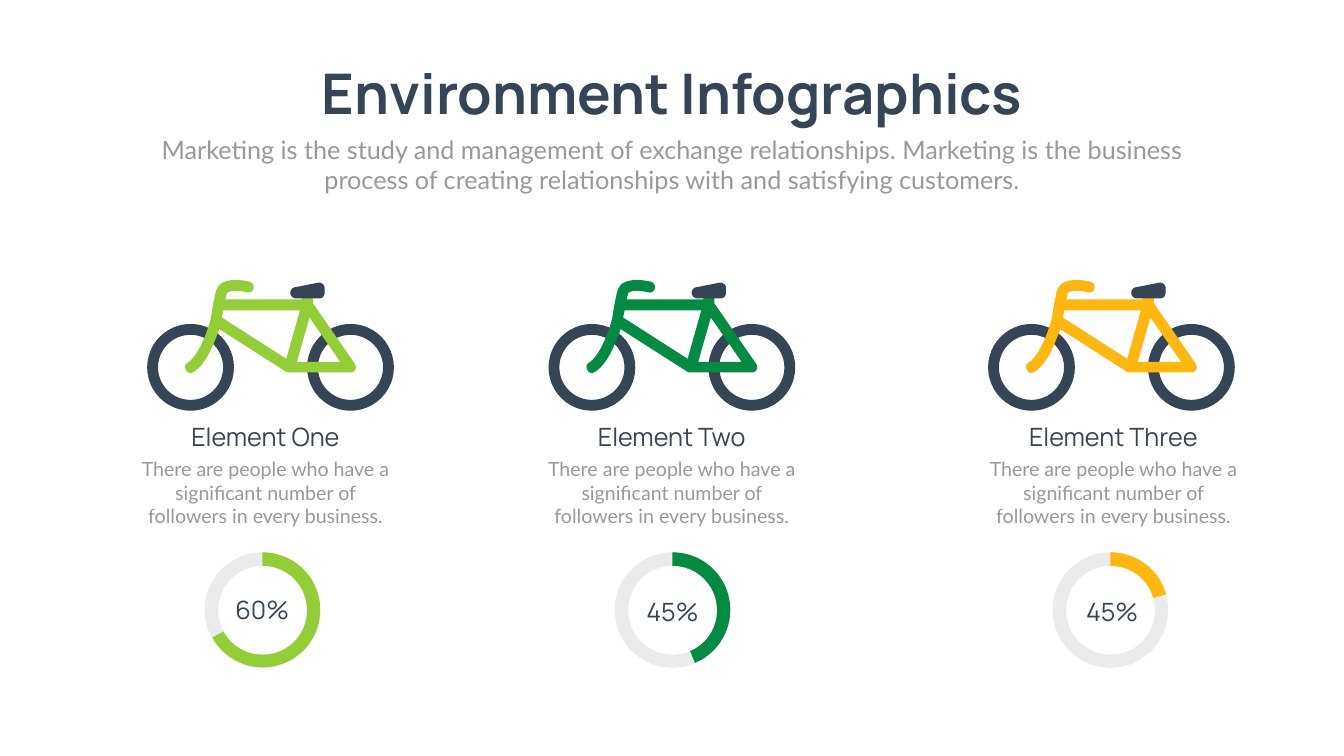
"""Build the Environment Infographics slide: three bicycles with captions and progress rings."""
import pptx
import pptx.dml.color
import pptx.enum.shapes
import pptx.enum.text
import pptx.util

Pt = pptx.util.Pt
RGBColor = pptx.dml.color.RGBColor
MSO_SHAPE = pptx.enum.shapes.MSO_SHAPE

NAVY = RGBColor(0x36, 0x45, 0x56)
GRAY = RGBColor(0x99, 0x99, 0x99)
PALE = RGBColor(0xEB, 0xEB, 0xEB)
WHITE = RGBColor(0xFF, 0xFF, 0xFF)
LIME = RGBColor(0x93, 0xCE, 0x39)
GREEN = RGBColor(0x05, 0x8A, 0x43)
AMBER = RGBColor(0xFE, 0xB6, 0x11)

UNIT = 0.72
FINE = 20
STEPS = 10
CAPTION = "There are people who have a significant number of followers in every business."

FRAME = [
    [(412, 166), (329, 46), (329, 25), (328, 19, 323, 14, 317, 14),
     (312, 15, 307, 19, 307, 25), (307, 38), (155, 38), (158, 26),
     (159, 24, 168, 17, 198, 24), (204, 26, 210, 22, 211, 16),
     (212, 10, 209, 5, 203, 3), (177, -3, 158, -1, 146, 7),
     (141, 11, 138, 17, 136, 23), (131, 47), (126, 77),
     (121, 97, 103, 150, 80, 164), (75, 167, 74, 173, 77, 178),
     (79, 182, 82, 184, 86, 184), (88, 184, 90, 183, 92, 182),
     (107, 173, 121, 153, 133, 123), (137, 113, 141, 104, 143, 97),
     (276, 182), (278, 183, 280, 183, 282, 183), (403, 183),
     (409, 183, 414, 179, 414, 173), (414, 170, 413, 168, 412, 166)],
    [(151, 60), (303, 60), (276, 156), (148, 74)],
    [(297, 162), (322, 74), (383, 162)],
]
SADDLE = [
    [(341, 36), (295, 36), (289, 36, 284, 31, 284, 25), (284, 20, 287, 15, 293, 14),
     (339, 5), (345, 4, 351, 8, 352, 14), (352, 25), (352, 31, 348, 36, 342, 36)],
]


def add_text(sp, text, size=36, font="Manrope", color=NAVY, bold=False, wrap=True):
    tf = sp.text_frame
    tf.word_wrap = wrap
    tf.auto_size = pptx.enum.text.MSO_AUTO_SIZE.SHAPE_TO_FIT_TEXT
    tf.vertical_anchor = pptx.enum.text.MSO_ANCHOR.TOP
    p = tf.paragraphs[0]
    p.alignment = pptx.enum.text.PP_ALIGN.CENTER
    p.line_spacing = 1.0
    p.space_before = Pt(0)
    r = p.add_run()
    r.text = text
    r.font.size = Pt(size)
    r.font.name = font
    r.font.bold = bold
    r.font.color.rgb = color


def add_outline(shapes, contours, left, top):
    builder = None
    for contour in contours:
        points = []
        for segment in contour:
            if len(segment) == 2:
                points.append(segment)
                continue
            x0, y0 = points[-1]
            x1, y1, x2, y2, x3, y3 = segment
            for i in range(1, STEPS + 1):
                t = i / STEPS
                a, b, c, d = (1 - t) ** 3, 3 * t * (1 - t) ** 2, 3 * t * t * (1 - t), t ** 3
                points.append((a * x0 + b * x1 + c * x2 + d * x3,
                               a * y0 + b * y1 + c * y2 + d * y3))
        points = [(round(x * FINE), round(y * FINE)) for x, y in points]
        if builder is None:
            builder = shapes.build_freeform(*points[0], scale=Pt(UNIT) / FINE)
        else:
            builder.move_to(*points[0])
        builder.add_line_segments(points[1:], close=True)
    return builder.convert_to_shape(Pt(left), Pt(top))


prs = pptx.Presentation()
prs.slide_width, prs.slide_height = Pt(1919.52), Pt(1080)
s = prs.slides.add_slide(prs.slide_layouts[0])

title, subtitle = s.placeholders
for sp, box in ((title, (410.4, 80.6, 1099.4, 104.4)), (subtitle, (210.2, 187.9, 1499, 94.3))):
    sp.left, sp.top, sp.width, sp.height = map(Pt, box)
add_text(title, "Environment Infographics", size=80, bold=True, wrap=False)
add_text(subtitle, "Marketing is the study and management of exchange relationships. "
         "Marketing is the business process of creating relationships with and "
         "satisfying customers.", font="Lato", color=GRAY)

columns = [
    ("Element One", "60%", LIME, 151.21, 210.2, 195.1, 292.3, 319, 846),
    ("Element Two", "45%", GREEN, 67.31, 783.4, 775.4, 877.9, 905, 848),
    ("Element Three", "45%", AMBER, 344.33, 1411.2, 1406.2, 1503.4, 1532.9, 848),
]
for name, percent, color, angle, bike_x, text_x, ring_x, percent_x, percent_y in columns:
    ring = s.shapes.add_group_shape().shapes
    bike = s.shapes.add_group_shape().shapes
    parts = []
    for group, kind, x, y, size, fill in (
        (ring, MSO_SHAPE.OVAL, ring_x, 789.1, 164.9, PALE),
        (ring, MSO_SHAPE.PIE, ring_x + 0.9, 789.1, 164.2, color),
        (ring, MSO_SHAPE.OVAL, ring_x + 19.4, 808.5, 126.7, WHITE),
        (bike, MSO_SHAPE.DONUT, bike_x, 462.8, 124, NAVY),
        (bike, MSO_SHAPE.DONUT, bike_x + 228.4, 462.8, 124, NAVY),
    ):
        sp = group.add_shape(kind, Pt(x), Pt(y), Pt(size), Pt(size))
        if kind == MSO_SHAPE.PIE:
            sp.adjustments[0], sp.adjustments[1] = 269.52 * 0.6, angle * 0.6
        elif kind == MSO_SHAPE.DONUT:
            sp.adjustments[0] = 0.125
        parts.append((sp, fill))
    parts.append((add_outline(bike, FRAME, bike_x, 400.3), color))
    parts.append((add_outline(bike, SADDLE, bike_x, 400.3), NAVY))
    for sp, fill in parts:
        sp.shadow.inherit = False
        sp.fill.solid()
        sp.fill.fore_color.rgb = fill
        sp.line.fill.background()

    for text, box, style in (
        (CAPTION, (text_x, 649.4, 367.9, 108.7), dict(size=28, font="Lato", color=GRAY)),
        (name, (text_x, 598.3, 367.9, 51.1), {}),
        (percent, (percent_x, percent_y, 110.9, 51.1), {}),
    ):
        add_text(s.shapes.add_textbox(*map(Pt, box)), text, **style)

prs.save("out.pptx")
